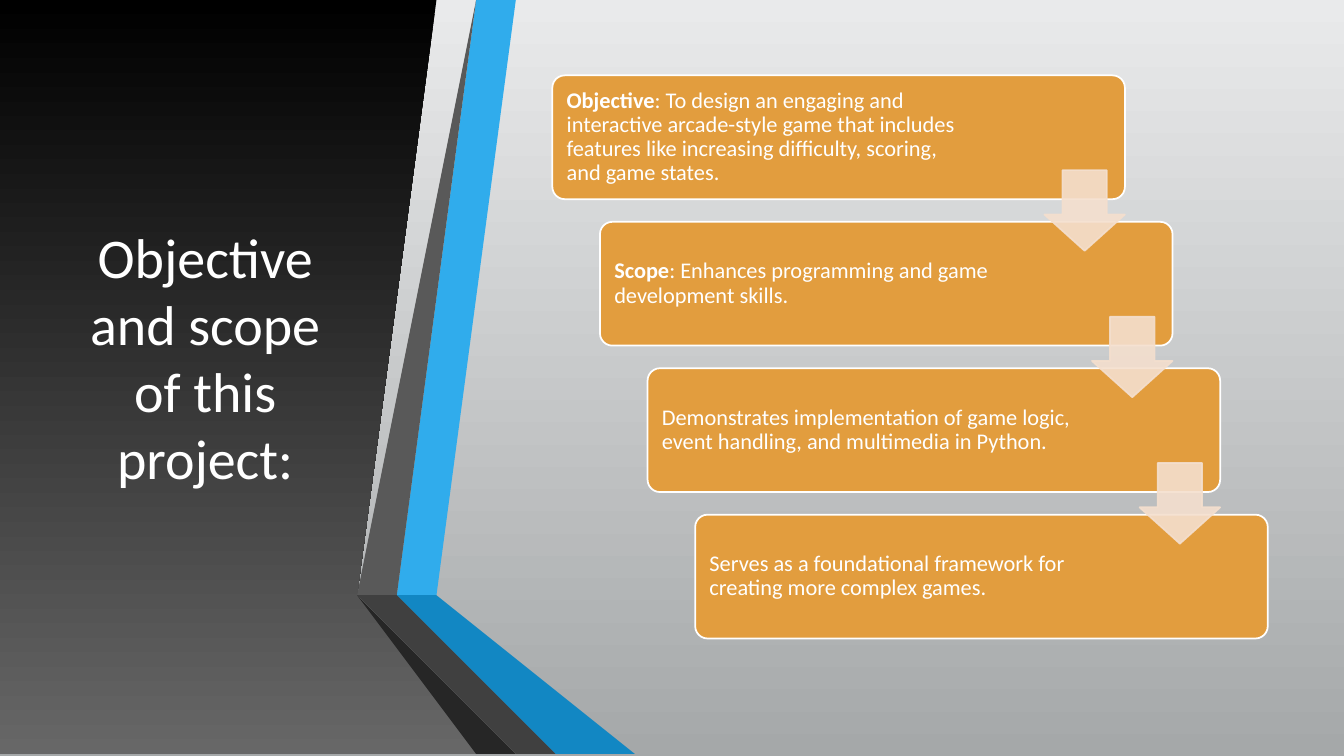
"""Build the slide on the objective and scope of a game project."""
from dataclasses import dataclass

import lxml.etree
import pptx
import pptx.dml.color
import pptx.dml.fill
import pptx.enum.shapes
import pptx.enum.text
import pptx.oxml.ns
import pptx.shapes.autoshape
import pptx.slide
import pptx.text.text
import pptx.util

Cm = pptx.util.Cm
ShapeType = pptx.enum.shapes.MSO_SHAPE
Points = tuple[tuple[float, float], ...]

COLORS = {
    "light_top": "E9EAEB", "light_bottom": "A5A8A9",
    "dark_top": "000000", "dark_bottom": "676767",
    "blue": "30ACEC", "blue_fold": "1287C3", "blue_edge": "0C5A82",
    "gray": "595959", "gray_fold": "404040", "gray_edge": "262626",
    "box": "E29D3E", "arrow": "F4DFCE", "white": "FFFFFF",
}
FONT = "Calibri"
SLIDE_WIDTH, SLIDE_HEIGHT = 33.87, 19.05
BOX_LEFT, BOX_TOP, BOX_WIDTH, BOX_HEIGHT = 13.92, 1.9, 14.43, 3.12
STEP_X, STEP_Y = 1.2, 3.69
ARROW_SIZE, ARROW_DROP = 2.03, 2.39


@dataclass(frozen=True)
class Facet:
    """A flat piece of the folded ribbon."""
    color: str
    points: Points


@dataclass(frozen=True)
class Step:
    """A box of the staircase with an optional bold lead."""
    lead: str
    text: str
    right_inset: float


PANEL: Points = ((0, 0), (11.4, 0), (9.04, 14.61), (12.24, 19.05), (0, 19.05))

FACETS = (
    Facet("blue", ((10.06, 14.68), (10.74, 14.81), (13.18, 0), (12.47, 0))),
    Facet("gray", ((12.32, 0), (11.61, 0), (9.22, 14.55), (9.91, 14.66))),
    Facet("gray_edge", ((9.22, 14.55), (12.47, 19.05), (12.62, 19.05))),
    Facet("blue_edge", ((10.06, 14.71), (14.07, 19.05), (14.22, 19.05))),
    Facet("blue_fold", ((10.06, 14.68), (14.22, 19.05), (15.98, 19.05), (10.74, 14.81))),
    Facet("gray_fold", ((13.92, 19.05), (10.03, 14.81), (9.88, 14.68), (9.91, 14.66),
                        (9.22, 14.55), (12.62, 19.05))),
)

STEPS = (
    Step("Objective", ": To design an engaging and interactive arcade-style game that "
         "includes features like increasing difficulty, scoring, and game states.", 3.7),
    Step("Scope", ": Enhances programming and game development skills.", 3.5),
    Step("", "Demonstrates implementation of game logic, event handling, and "
         "multimedia in Python.", 3.48),
    Step("", "Serves as a foundational framework for creating more complex games.", 3.5),
)


def rgb(name: str) -> pptx.dml.color.RGBColor:
    """Return the named colour."""
    return pptx.dml.color.RGBColor.from_string(COLORS[name])


def fill_gradient(fill: pptx.dml.fill.FillFormat, top: str, bottom: str) -> None:
    """Fill with a gradient that runs downwards."""
    fill.gradient()
    fill.gradient_angle = 270
    for stop, name in zip(fill.gradient_stops, (top, bottom)):
        stop.color.rgb = rgb(name)


def add_text(paragraph: pptx.text.text._Paragraph, text: str, *, size: float,
             bold: bool = False, color: str = "white") -> None:
    """Append a formatted run to a paragraph."""
    run = paragraph.add_run()
    run.text = text
    run.font.name = FONT
    run.font.size = pptx.util.Pt(size)
    run.font.bold = bold
    run.font.color.rgb = rgb(color)


def add_outline(slide: pptx.slide.Slide, points: Points) -> pptx.shapes.autoshape.Shape:
    """Draw a closed outline without a border from points in centimetres."""
    builder = slide.shapes.build_freeform(*points[0], scale=float(Cm(1)))
    builder.add_line_segments(points[1:], close=True)
    shape = builder.convert_to_shape()
    shape.shadow.inherit = False
    shape.line.fill.background()
    return shape


def add_solid(slide: pptx.slide.Slide, kind: ShapeType, left: float, top: float,
              width: float, height: float, *, fill: str, line: str,
              adjustments: tuple[float, ...]) -> pptx.shapes.autoshape.Shape:
    """Draw a preset shape in plain colours."""
    shape = slide.shapes.add_shape(kind, Cm(left), Cm(top), Cm(width), Cm(height))
    shape.shadow.inherit = False
    shape.fill.solid()
    shape.fill.fore_color.rgb = rgb(fill)
    shape.line.color.rgb = rgb(line)
    shape.line.width = pptx.util.Pt(1.25)
    for index, value in enumerate(adjustments):
        shape.adjustments[index] = value
    return shape


def add_step(slide: pptx.slide.Slide, index: int, step: Step) -> None:
    """Draw one box of the staircase with its text."""
    shape = add_solid(slide, ShapeType.ROUNDED_RECTANGLE, BOX_LEFT + index * STEP_X,
                      BOX_TOP + index * STEP_Y, BOX_WIDTH, BOX_HEIGHT,
                      fill="box", line="white", adjustments=(0.1,))
    frame = shape.text_frame
    frame.word_wrap = True
    frame.vertical_anchor = pptx.enum.text.MSO_ANCHOR.MIDDLE
    frame.margin_left = frame.margin_top = frame.margin_bottom = Cm(0.27)
    frame.margin_right = Cm(step.right_inset)
    paragraph = frame.paragraphs[0]
    paragraph.alignment = pptx.enum.text.PP_ALIGN.LEFT
    paragraph.line_spacing = 0.9
    if step.lead:
        add_text(paragraph, step.lead, size=16, bold=True)
    add_text(paragraph, step.text, size=16)


def add_arrow(slide: pptx.slide.Slide, index: int) -> None:
    """Draw the translucent arrow from one box to the next."""
    shape = add_solid(slide, ShapeType.DOWN_ARROW,
                      BOX_LEFT + BOX_WIDTH - ARROW_SIZE + index * STEP_X,
                      BOX_TOP + ARROW_DROP + index * STEP_Y, ARROW_SIZE, ARROW_SIZE,
                      fill="arrow", line="arrow", adjustments=(0.55, 0.45))
    qualified = pptx.oxml.ns.qn
    for color in shape._element.spPr.iter(qualified("a:srgbClr")):
        lxml.etree.SubElement(color, qualified("a:alpha"), val="90000")


def set_title(slide: pptx.slide.Slide, text: str) -> None:
    """Place and format the title."""
    title = slide.shapes.title
    title.left, title.top, title.width, title.height = Cm(1.5), Cm(1.9), Cm(7.34), Cm(14.17)
    frame = title.text_frame
    frame.word_wrap = True
    frame.auto_size = pptx.enum.text.MSO_AUTO_SIZE.NONE
    frame.vertical_anchor = pptx.enum.text.MSO_ANCHOR.MIDDLE
    frame.paragraphs[0].alignment = pptx.enum.text.PP_ALIGN.CENTER
    add_text(frame.paragraphs[0], text, size=40)


def main() -> None:
    """Build and save the presentation."""
    presentation = pptx.Presentation()
    presentation.slide_width, presentation.slide_height = Cm(SLIDE_WIDTH), Cm(SLIDE_HEIGHT)
    slide = presentation.slides.add_slide(presentation.slide_layouts[5])
    fill_gradient(slide.background.fill, "light_top", "light_bottom")

    panel = add_outline(slide, PANEL)
    fill_gradient(panel.fill, "dark_top", "dark_bottom")
    slide.shapes._spTree.append(slide.shapes.title._element)
    set_title(slide, "Objective and scope of this project:")

    for facet in FACETS:
        shape = add_outline(slide, facet.points)
        shape.fill.solid()
        shape.fill.fore_color.rgb = rgb(facet.color)
    for index, step in enumerate(STEPS):
        add_step(slide, index, step)
    for index in range(len(STEPS) - 1):
        add_arrow(slide, index)

    presentation.save("out.pptx")


if __name__ == "__main__":
    main()
